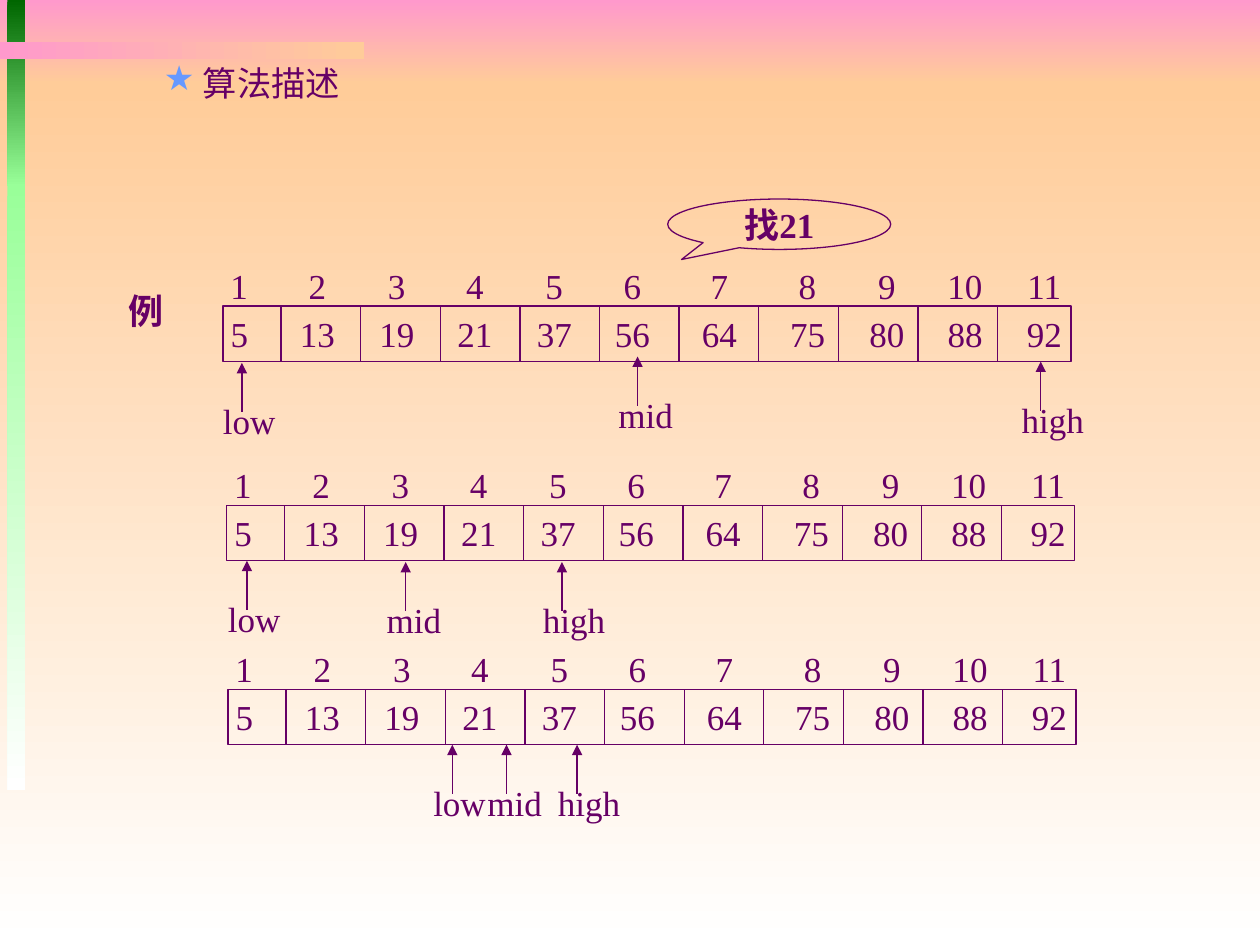
from lxml import etree
from pptx import Presentation
from pptx.dml.color import RGBColor
from pptx.enum.shapes import MSO_CONNECTOR, MSO_SHAPE
from pptx.enum.text import MSO_ANCHOR, MSO_AUTO_SIZE, PP_ALIGN
from pptx.oxml.ns import qn
from pptx.util import Inches, Pt

RECTANGLE = MSO_SHAPE.RECTANGLE
CALLOUT = MSO_SHAPE.OVAL_CALLOUT
STRAIGHT = MSO_CONNECTOR.STRAIGHT
MIDDLE = MSO_ANCHOR.MIDDLE
LEFT, CENTER = PP_ALIGN.LEFT, PP_ALIGN.CENTER
NO_AUTOFIT = MSO_AUTO_SIZE.NONE

PURPLE = RGBColor(0x66, 0x00, 0x66)
BLUE = RGBColor(0x66, 0x99, 0xFF)
PINK = RGBColor(0xFF, 0x99, 0xCC)
PEACH = RGBColor(0xFF, 0xCC, 0x99)
WHITE = RGBColor(0xFF, 0xFF, 0xFF)
DARK_GREEN = RGBColor(0x00, 0x66, 0x00)
LIGHT_GREEN = RGBColor(0x99, 0xFF, 0x99)

SERIF = "Times New Roman"
TEXT_SIZE = 20
LINE_WIDTH = Pt(0.75)
DOWNWARD, RIGHTWARD = 270, 0

VALUES = [5, 13, 19, 21, 37, 56, 64, 75, 80, 88, 92]
INDEXES = range(1, len(VALUES) + 1)
NUMBER_CENTRES = [0.69, 1.32, 1.94, 2.57, 3.19, 3.88, 4.58, 5.21, 5.83, 6.46]
ARRAY_WIDTH, ARRAY_HEIGHT = 6.73, 0.44
FIRST_CELL, CELL = 0.46, 0.632
LABEL_WIDTHS = {"low": 0.61, "mid": 0.63, "high": 0.69}

SEARCH_STEPS = [
    (1.77, 2.43, [("low", 1.92, 2.88), ("mid", 5.06, 2.83), ("high", 8.26, 2.87)]),
    (1.80, 4.01, [("low", 1.96, 4.45), ("mid", 3.22, 4.46), ("high", 4.46, 4.46)]),
    (1.81, 5.47, [("low", 3.59, 5.91), ("mid", 4.02, 5.91), ("high", 4.58, 5.91)]),
]


def add_gradient_bar(slide, box, start, end, angle):
    """Add a borderless rectangle filled from one colour to another."""
    bar = slide.shapes.add_shape(RECTANGLE, *map(Inches, box))
    bar.shadow.inherit = False
    bar.line.fill.background()
    bar.fill.gradient()
    bar.fill.gradient_angle = angle
    for stop, color in zip(bar.fill.gradient_stops, (start, end)):
        stop.color.rgb = color


def add_backdrop(slide, width, height):
    """Cover the slide with its gradients and the decorative bars."""
    add_gradient_bar(slide, (0, 0, width, 0.67), PINK, PEACH, DOWNWARD)
    add_gradient_bar(slide, (0, 0.67, width, height - 0.67), PEACH, WHITE, DOWNWARD)
    add_gradient_bar(slide, (0.06, 0, 0.14, 1.48), DARK_GREEN, LIGHT_GREEN, DOWNWARD)
    add_gradient_bar(slide, (0.06, 1.46, 0.14, 4.81), LIGHT_GREEN, WHITE, DOWNWARD)
    add_gradient_bar(slide, (0, 0.33, 2.89, 0.14), PINK, PEACH, RIGHTWARD)


def style_paragraph(paragraph, size=TEXT_SIZE, name=SERIF, bold=False, align=LEFT):
    """Give a paragraph its font and alignment."""
    paragraph.alignment = align
    paragraph.font.size = Pt(size)
    paragraph.font.name = name
    paragraph.font.bold = bold
    paragraph.font.color.rgb = PURPLE


def place_title(slide, box, text):
    """Move the title to its box, in front of the backdrop, with a star bullet."""
    title = slide.shapes.title
    slide.shapes.element.append(title.element)
    title.left, title.top, title.width, title.height = map(Inches, box)
    frame = title.text_frame
    frame.text = text
    frame.auto_size = NO_AUTOFIT
    frame.vertical_anchor = MIDDLE
    paragraph = frame.paragraphs[0]
    properties = paragraph._p.get_or_add_pPr()
    properties.set("marL", str(Inches(0.81)))
    properties.set("indent", str(Inches(-0.31)))
    bullet_color = etree.SubElement(properties, qn("a:buClr"))
    etree.SubElement(bullet_color, qn("a:srgbClr"), val=str(BLUE))
    etree.SubElement(properties, qn("a:buChar"), char="★")
    style_paragraph(paragraph, size=19.6, name="Arial")


def add_label(slide, box, text, bold=False):
    """Add a one-line text box, with its right margin left free for the text."""
    label = slide.shapes.add_textbox(*map(Inches, box))
    label.text_frame.word_wrap = False
    label.text_frame.margin_right = 0
    label.text_frame.text = text
    style_paragraph(label.text_frame.paragraphs[0], bold=bold)


def add_outlined_shape(slide, kind, box):
    """Add an unfilled shape with a thin outline and middle-anchored text."""
    shape = slide.shapes.add_shape(kind, *map(Inches, box))
    shape.shadow.inherit = False
    shape.fill.background()
    shape.line.color.rgb = PURPLE
    shape.line.width = LINE_WIDTH
    shape.text_frame.vertical_anchor = MIDDLE
    return shape


def add_line(slide, start, end, arrow=False):
    """Draw a thin line, with an arrowhead at its end if asked."""
    line = slide.shapes.add_connector(STRAIGHT, *map(Inches, (*start, *end)))
    line.line.color.rgb = PURPLE
    line.line.width = LINE_WIDTH
    if arrow:
        etree.SubElement(line.line._get_or_add_ln(), qn("a:tailEnd"), type="triangle")
    etree.SubElement(line.element.spPr, qn("a:effectLst"))


def write_numbers(frame, numbers):
    """Write numbers in one line, centred on the tab stops of the array."""
    frame.word_wrap = True
    frame.text = "\t".join(map(str, numbers))
    paragraph = frame.paragraphs[0]
    tabs = etree.SubElement(paragraph._p.get_or_add_pPr(), qn("a:tabLst"))
    for centre in NUMBER_CENTRES:
        etree.SubElement(tabs, qn("a:tab"), pos=str(Inches(centre)), algn="ctr")
    style_paragraph(paragraph)


def add_array(slide, left, top):
    """Draw the array cells with their indexes above."""
    index_box = (left - 0.04, top - 0.38, 6.81, 0.44)
    indexes = slide.shapes.add_textbox(*map(Inches, index_box))
    write_numbers(indexes.text_frame, INDEXES)
    cells = add_outlined_shape(slide, RECTANGLE, (left, top, ARRAY_WIDTH, ARRAY_HEIGHT))
    cells.text_frame.margin_left = Inches(0.06)
    cells.text_frame.margin_right = 0
    write_numbers(cells.text_frame, VALUES)
    for column in range(len(VALUES) - 1):
        x = left + FIRST_CELL + column * CELL
        add_line(slide, (x, top), (x, top + ARRAY_HEIGHT))


def add_pointer(slide, name, x, tip):
    """Draw a named arrow that points up at a cell."""
    add_line(slide, (x, tip + 0.39), (x, tip), arrow=True)
    add_label(slide, (x - 0.25, tip + 0.24, LABEL_WIDTHS[name], 0.44), name)


def add_callout(slide, box, text):
    """Add the speech bubble that states the search target."""
    callout = add_outlined_shape(slide, CALLOUT, box)
    callout.adjustments[0] = -0.438
    callout.adjustments[1] = 0.7
    callout.text_frame.word_wrap = False
    callout.text_frame.text = text
    style_paragraph(callout.text_frame.paragraphs[0], bold=True, align=CENTER)


def main():
    """Build the binary search slide."""
    presentation = Presentation()
    presentation.slide_width, presentation.slide_height = Inches(10), Inches(7.5)
    slide = presentation.slides.add_slide(presentation.slide_layouts[5])
    add_backdrop(slide, 10, 7.5)
    place_title(slide, (0.7, 0.43, 9.3, 0.45), "算法描述")
    add_label(slide, (0.92, 2.25, 0.54, 0.44), "例", bold=True)
    add_callout(slide, (5.3, 1.58, 1.77, 0.4), "找21")
    for left, top, pointers in SEARCH_STEPS:
        add_array(slide, left, top)
        for name, x, tip in pointers:
            add_pointer(slide, name, x, tip)
    presentation.save("out.pptx")


if __name__ == "__main__":
    main()
